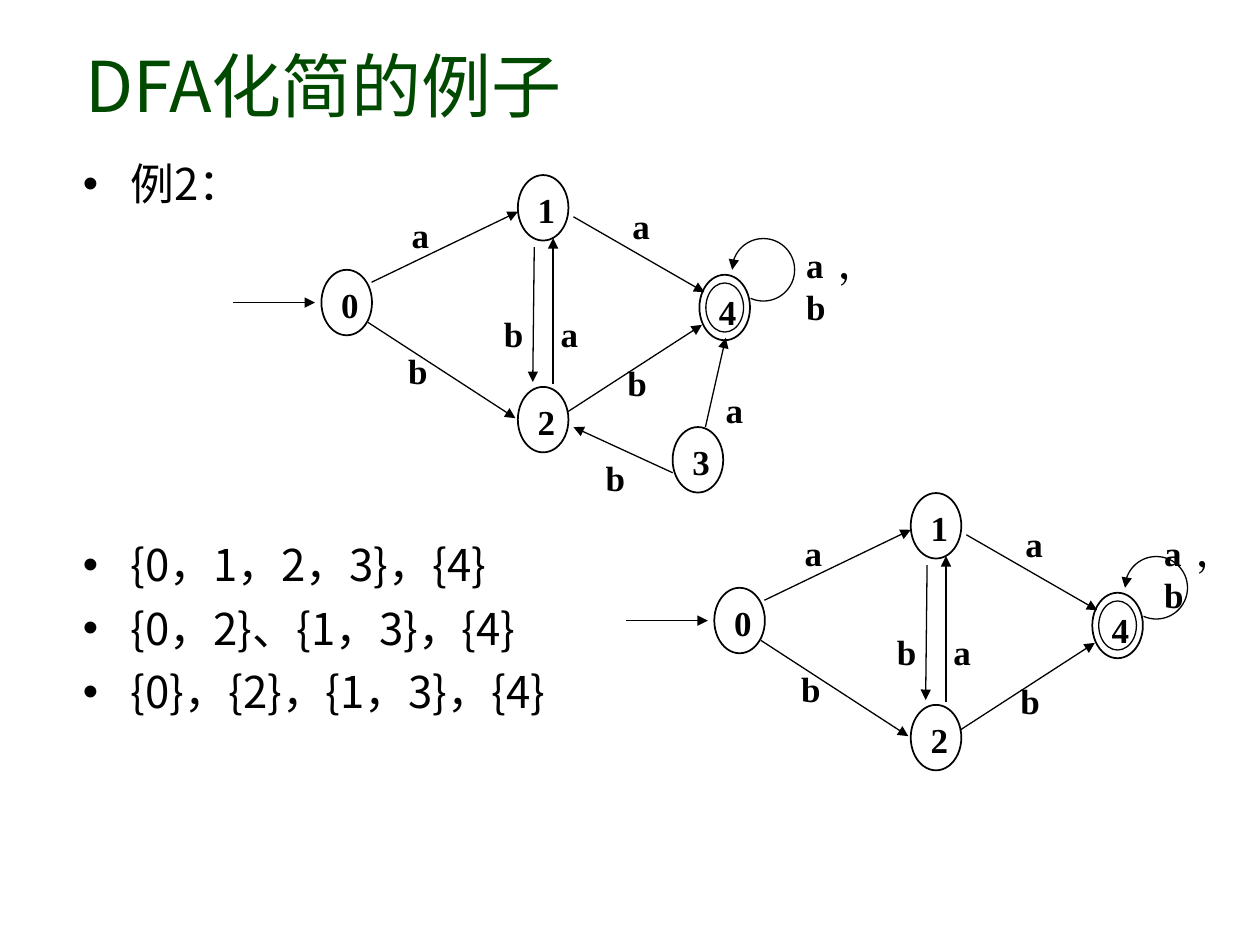
import math

import pptx
import pptx.util
import pptx.dml.color
import pptx.enum.shapes
import pptx.enum.text
import pptx.oxml.ns
import lxml.etree

Cm, Pt = pptx.util.Cm, pptx.util.Pt
RGB = pptx.dml.color.RGBColor.from_string
ALIGN = pptx.enum.text.PP_ALIGN
ANCHOR = pptx.enum.text.MSO_ANCHOR
SHAPE = pptx.enum.shapes.MSO_SHAPE
qn = pptx.oxml.ns.qn

# ---- Content (lengths in cm) ----
TITLE = "DFA化简的例子"
BULLETS = [  # text, space before in points
    ("例2：", 0),
    ("{0，1，2，3}，{4}", 187.7),
    ("{0，2}、{1，3}，{4}", 6.2),
    ("{0}，{2}，{1，3}，{4}", 6.2),
]
TITLE_BOX = (1.47, 0.43, 21.56, 2.54)
BODY_BOX = (1.42, 3.03, 21.59, 13.13)

LABEL_SIZE = (1.17, 1.14)
WIDE_LABEL = (1.88, 1.14)
TALL_LABEL = (1.17, 2.03)

STATES = {"0": (6.48, 5.44), "1": (10.44, 3.53), "2": (10.44, 7.80),
          "3": (13.56, 8.61), "4": (14.10, 5.54)}
ACCEPTING = "4"
EDGES = [  # from state, to state, line ends, label, label place, label size
    ("", "0", (4.70, 6.10, 6.35, 6.10), "", None, None),
    ("0", "1", (7.49, 5.69, 10.44, 4.27), "a", (8.05, 4.17), LABEL_SIZE),
    ("0", "2", (7.42, 6.50, 10.39, 8.43), "b", (7.98, 6.91), LABEL_SIZE),
    ("1", "2", (10.77, 4.98, 10.74, 7.70), "b", (9.91, 6.17), LABEL_SIZE),
    ("2", "1", (11.15, 7.75, 11.15, 4.80), "a", (11.05, 6.17), LABEL_SIZE),
    ("1", "4", (11.56, 4.37, 14.20, 5.89), "a", (12.50, 3.99), LABEL_SIZE),
    ("2", "4", (11.43, 8.31, 14.15, 6.55), "b", (12.40, 7.16), LABEL_SIZE),
    ("3", "4", (14.22, 8.61, 14.63, 6.81), "a", (14.38, 7.70), WIDE_LABEL),
    ("3", "2", (13.56, 9.53, 11.56, 8.61), "b", (11.96, 9.07), TALL_LABEL),
]
LOOP = {"center": (15.39, 5.44), "radius": 0.63, "start": 114, "end": -180, "step": 6}
LOOP_TEXT = "a，b"
DIAGRAMS = [  # offset, states shown, place of the loop label
    ((0, 0), "01234", (16.00, 4.78)),
    ((7.92, 6.41), "0124", (23.22, 10.59)),
]
STATE_SIZE = (1.02, 1.32)
INNER_SIZE = (0.76, 0.99)

# ---- Theme ----
THEME = {
    "title": {"name": "Noto Sans CJK KR", "size": Pt(40), "color": "004A00", "bold": False},
    "body": {"name": "Noto Sans CJK KR", "size": Pt(25), "color": "000000", "bold": False},
    "label": {"name": "Times New Roman", "size": Pt(20), "color": "000000", "bold": True},
    "line": "000000", "outline": Pt(1), "thin": Pt(0.75),
}
BODY_LEADING = Pt(30.1)
INDENT = Cm(0.97)
BOX_INSETS = (0.25, 0.13, 0.25, 0.13)
STATE_INSETS = (0.25, 0.08, 0.25, 0.13)
INNER_INSETS = (0.15, 0, 0.1, 0)


# ---- Helpers ----
def lengths(*values):
    return [Cm(value) for value in values]


def write(paragraph, text, style, **layout):
    run = paragraph.add_run()
    run.text = text
    for name, value in layout.items():
        setattr(paragraph, name, value)
    for name, value in THEME[style].items():
        if name == "color":
            run.font.color.rgb = RGB(value)
        else:
            setattr(run.font, name, value)
    east_asian = lxml.etree.SubElement(run.font._element, qn("a:ea"))
    east_asian.set("typeface", THEME[style]["name"])


def prepare_frame(shape, insets, anchor=ANCHOR.TOP):
    frame = shape.text_frame
    left, top, right, bottom = lengths(*insets)
    settings = {"margin_left": left, "margin_top": top, "margin_right": right,
                "margin_bottom": bottom, "vertical_anchor": anchor, "word_wrap": True,
                "auto_size": pptx.enum.text.MSO_AUTO_SIZE.NONE}
    for name, value in settings.items():
        setattr(frame, name, value)
    return frame


def place(shape, box):
    for name, value in zip(("left", "top", "width", "height"), lengths(*box)):
        setattr(shape, name, value)


def style_line(shape, width, arrow=False):
    shape.line.color.rgb = RGB(THEME["line"])
    shape.line.width = width
    if arrow:
        tail = lxml.etree.SubElement(shape.line._get_or_add_ln(), qn("a:tailEnd"))
        tail.set("type", "triangle")


def add_label(shapes, text, position, size):
    box = shapes.add_textbox(*lengths(*position, *size))
    frame = prepare_frame(box, BOX_INSETS)
    write(frame.paragraphs[0], text, "label", alignment=ALIGN.JUSTIFY)


def add_ellipse(shapes, position, size, width, text="", insets=STATE_INSETS):
    ellipse = shapes.add_shape(SHAPE.OVAL, *lengths(*position, *size))
    ellipse.shadow.inherit = False
    ellipse.fill.background()
    style_line(ellipse, width)
    if text:
        frame = prepare_frame(ellipse, insets)
        write(frame.paragraphs[0], text, "label", alignment=ALIGN.JUSTIFY)


def add_state(shapes, name, position):
    if name != ACCEPTING:
        add_ellipse(shapes, position, STATE_SIZE, THEME["outline"], name)
        return
    add_ellipse(shapes, position, STATE_SIZE, THEME["outline"])
    inner = [start + (outer - small) / 2
             for start, outer, small in zip(position, STATE_SIZE, INNER_SIZE)]
    add_ellipse(shapes, inner, INNER_SIZE, THEME["thin"], name, INNER_INSETS)


def add_arrow(shapes, ends):
    arrow = shapes.add_connector(pptx.enum.shapes.MSO_CONNECTOR.STRAIGHT, *lengths(*ends))
    style_line(arrow, THEME["thin"], arrow=True)
    lxml.etree.SubElement(arrow._element.spPr, qn("a:effectLst"))


def add_loop(shapes, offset):
    x, y = (a + b for a, b in zip(LOOP["center"], offset))
    points = []
    for degrees in range(LOOP["start"], LOOP["end"] - 1, -LOOP["step"]):
        angle = math.radians(degrees)
        points.append(lengths(x + LOOP["radius"] * math.cos(angle),
                              y + LOOP["radius"] * math.sin(angle)))
    builder = shapes.build_freeform(*points[0])
    builder.add_line_segments(points[1:], close=False)
    loop = builder.convert_to_shape()
    loop.shadow.inherit = False
    loop.fill.background()
    style_line(loop, THEME["thin"], arrow=True)


def add_diagram(slide, offset, states, loop_label):
    shapes = slide.shapes.add_group_shape().shapes

    def moved(position):
        return [value + offset[i % 2] for i, value in enumerate(position)]

    for name in states:
        add_state(shapes, name, moved(STATES[name]))
    for source, target, ends, text, position, size in EDGES:
        if source in states and target in states:
            add_arrow(shapes, moved(ends))
            if text:
                add_label(shapes, text, moved(position), size)
    add_loop(shapes, offset)
    add_label(shapes, LOOP_TEXT, loop_label, WIDE_LABEL)


def add_bullet(paragraph):
    properties = paragraph._p.get_or_add_pPr()
    properties.set("marL", str(INDENT))
    properties.set("indent", str(-INDENT))
    lxml.etree.SubElement(properties, qn("a:buChar")).set("char", "•")


def main():
    presentation = pptx.Presentation()
    presentation.slide_width, presentation.slide_height = lengths(25.4, 19.05)
    slide = presentation.slides.add_slide(presentation.slide_layouts[1])

    # Title and list
    title, body = slide.shapes.title, slide.placeholders[1]
    place(title, TITLE_BOX)
    frame = prepare_frame(title, BOX_INSETS, ANCHOR.MIDDLE)
    write(frame.paragraphs[0], TITLE, "title", alignment=ALIGN.LEFT)
    place(body, BODY_BOX)
    frame = prepare_frame(body, BOX_INSETS)
    for index, (text, gap) in enumerate(BULLETS):
        paragraph = frame.add_paragraph() if index else frame.paragraphs[0]
        add_bullet(paragraph)
        write(paragraph, text, "body", space_before=Pt(gap), line_spacing=BODY_LEADING)

    # State diagrams
    for diagram in DIAGRAMS:
        add_diagram(slide, *diagram)

    presentation.save("out.pptx")


if __name__ == "__main__":
    main()
